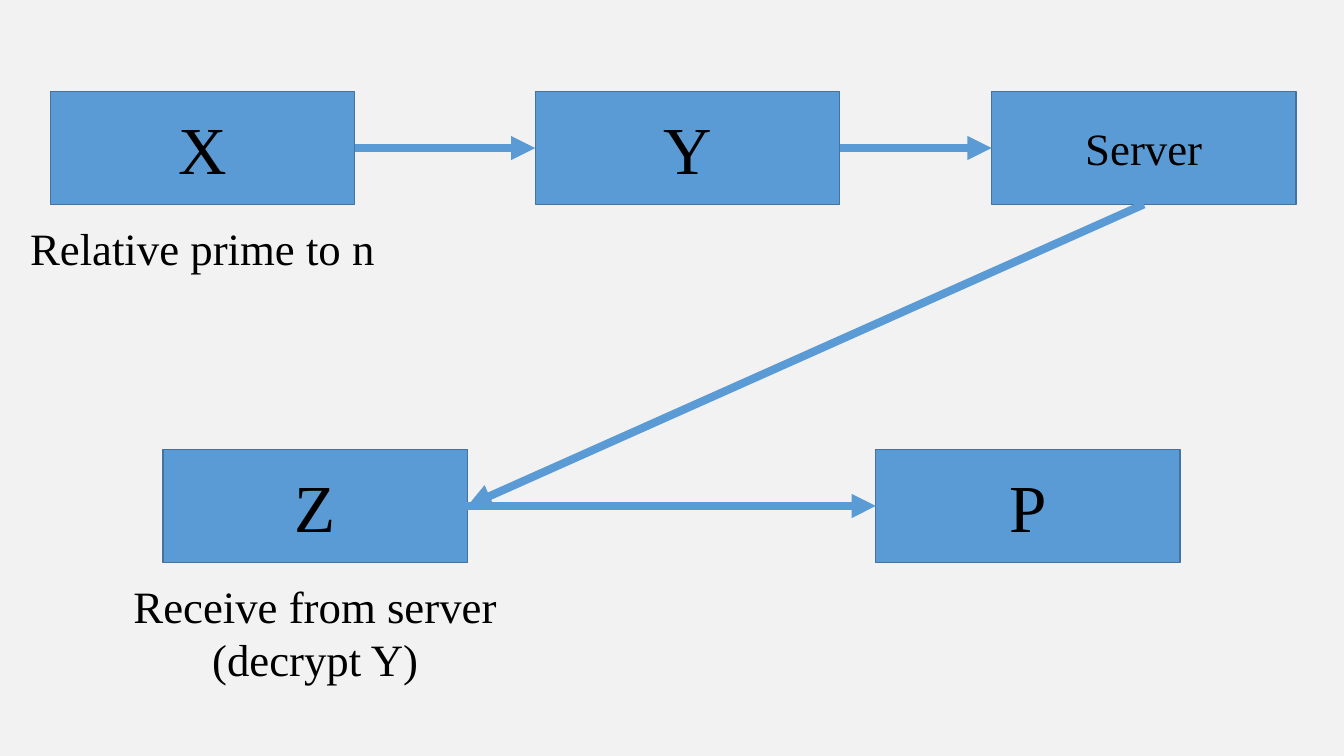
"""Build the slide that shows the X, Y, server, Z and P message flow."""
from dataclasses import dataclass

from lxml import etree
from pptx import Presentation
from pptx.dml.color import RGBColor
from pptx.enum.shapes import MSO_CONNECTOR, MSO_SHAPE
from pptx.enum.text import MSO_ANCHOR, PP_ALIGN
from pptx.oxml.ns import qn
from pptx.shapes.autoshape import Shape
from pptx.slide import Slide
from pptx.text.text import TextFrame
from pptx.util import Cm, Pt

RECT = MSO_SHAPE.RECTANGLE
STRAIGHT = MSO_CONNECTOR.STRAIGHT
MIDDLE = MSO_ANCHOR.MIDDLE
CENTER = PP_ALIGN.CENTER
COLORS = {"bg": "F2F2F2", "box": "5B9BD5", "edge": "43739E", "text": "000000"}
BOX_W, BOX_H = 7.67, 2.84
TOP_ROW, LOW_ROW = 2.31, 11.33
CAPTION_GAP = 0.28
LEFT, BOTTOM, RIGHT = 1, 2, 3


@dataclass(frozen=True)
class Box:
    label: str
    x: float
    y: float
    size: int = 48


@dataclass(frozen=True)
class Caption:
    box: Box
    lines: tuple[str, ...]
    width: float
    height: float


@dataclass(frozen=True)
class Arrow:
    start: str
    start_site: int
    end: str
    end_site: int = LEFT


BOXES = {
    box.label: box
    for box in (
        Box("X", 1.27, TOP_ROW),
        Box("Y", 13.49, TOP_ROW),
        Box("Server", 24.99, TOP_ROW, 32),
        Box("Z", 4.11, LOW_ROW),
        Box("P", 22.07, LOW_ROW),
    )
}
CAPTIONS = (
    Caption(BOXES["X"], ("Relative prime to n",), 9.3, 1.63),
    Caption(BOXES["Z"], ("Receive from server", "(decrypt Y)"), 9.75, 3),
)
ARROWS = (
    Arrow("X", RIGHT, "Y"),
    Arrow("Y", RIGHT, "Server"),
    Arrow("Server", BOTTOM, "Z", RIGHT),
    Arrow("Z", RIGHT, "P"),
)


def color(name: str) -> RGBColor:
    """Return a palette colour."""
    return RGBColor.from_string(COLORS[name])


def write(tf: TextFrame, lines: tuple[str, ...], size: int) -> None:
    """Fill a text frame with centred lines."""
    tf.word_wrap = False
    for i, line in enumerate(lines):
        p = tf.add_paragraph() if i else tf.paragraphs[0]
        p.alignment = CENTER
        r = p.add_run()
        r.text = line
        for name, value in {"name": "Times New Roman", "size": Pt(size)}.items():
            setattr(r.font, name, value)
        r.font.color.rgb = color("text")


def draw_box(s: Slide, box: Box) -> Shape:
    """Draw a labelled box."""
    sp = s.shapes.add_shape(RECT, Cm(box.x), Cm(box.y), Cm(BOX_W), Cm(BOX_H))
    sp.shadow.inherit = False
    sp.fill.solid()
    sp.fill.fore_color.rgb = color("box")
    sp.line.color.rgb = color("edge")
    sp.line.width = Pt(1)
    sp.text_frame.vertical_anchor = MIDDLE
    write(sp.text_frame, (box.label,), box.size)
    return sp


def draw_caption(s: Slide, caption: Caption) -> None:
    """Draw a caption centred under its box."""
    x = caption.box.x + (BOX_W - caption.width) / 2
    y = caption.box.y + BOX_H + CAPTION_GAP
    sp = s.shapes.add_textbox(Cm(x), Cm(y), Cm(caption.width), Cm(caption.height))
    write(sp.text_frame, caption.lines, 32)


def draw_arrow(s: Slide, arrow: Arrow, shapes: dict[str, Shape]) -> None:
    """Draw an arrow glued to two boxes."""
    c = s.shapes.add_connector(STRAIGHT, Cm(0), Cm(0), Cm(1), Cm(1))
    c.begin_connect(shapes[arrow.start], arrow.start_site)
    c.end_connect(shapes[arrow.end], arrow.end_site)
    c.line.color.rgb = color("box")
    c.line.width = Pt(5.75)
    ln = c.line._get_or_add_ln()
    etree.SubElement(ln, qn("a:tailEnd"), type="triangle")
    etree.SubElement(c._element.spPr, qn("a:effectLst"))


def main() -> None:
    """Build and save the slide."""
    prs = Presentation()
    prs.slide_width, prs.slide_height = Cm(33.87), Cm(19.05)
    s = prs.slides.add_slide(prs.slide_layouts[6])
    s.background.fill.solid()
    s.background.fill.fore_color.rgb = color("bg")
    shapes = {label: draw_box(s, box) for label, box in BOXES.items()}
    for caption in CAPTIONS:
        draw_caption(s, caption)
    for arrow in ARROWS:
        draw_arrow(s, arrow, shapes)
    prs.save("out.pptx")


if __name__ == "__main__":
    main()
